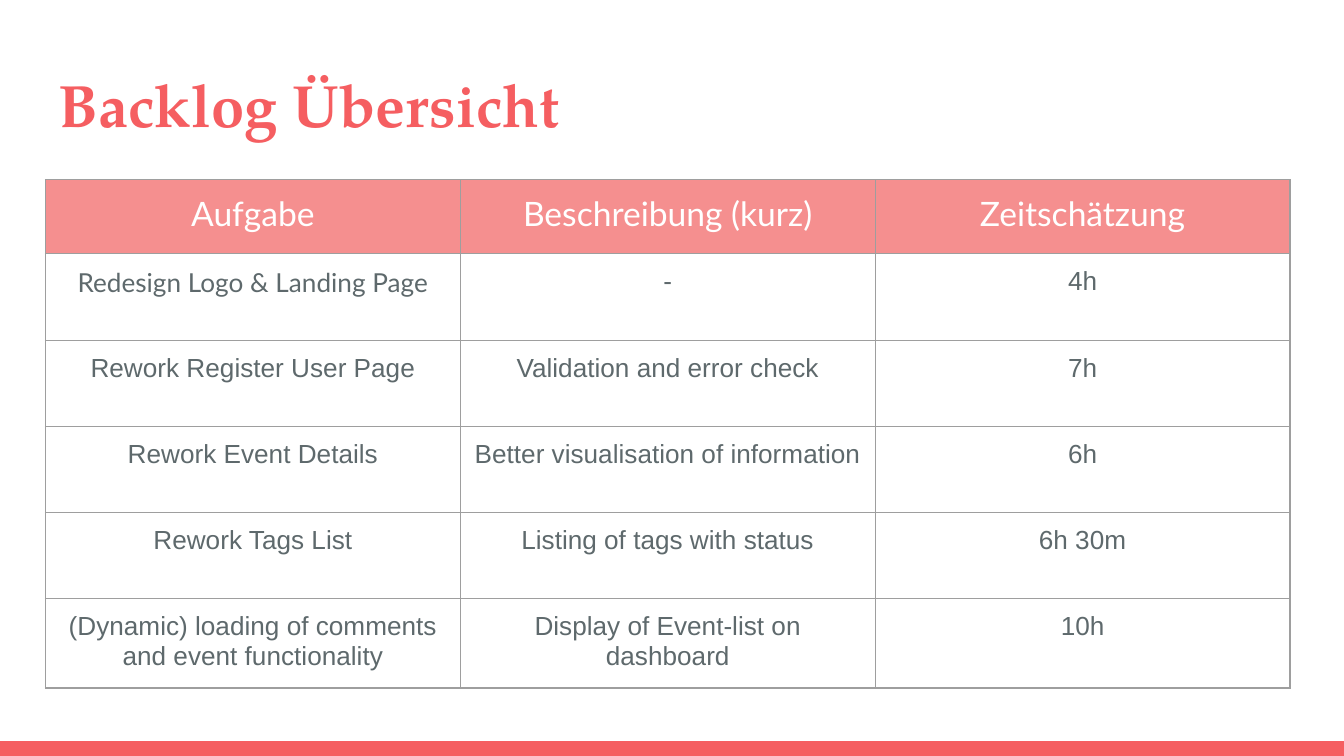
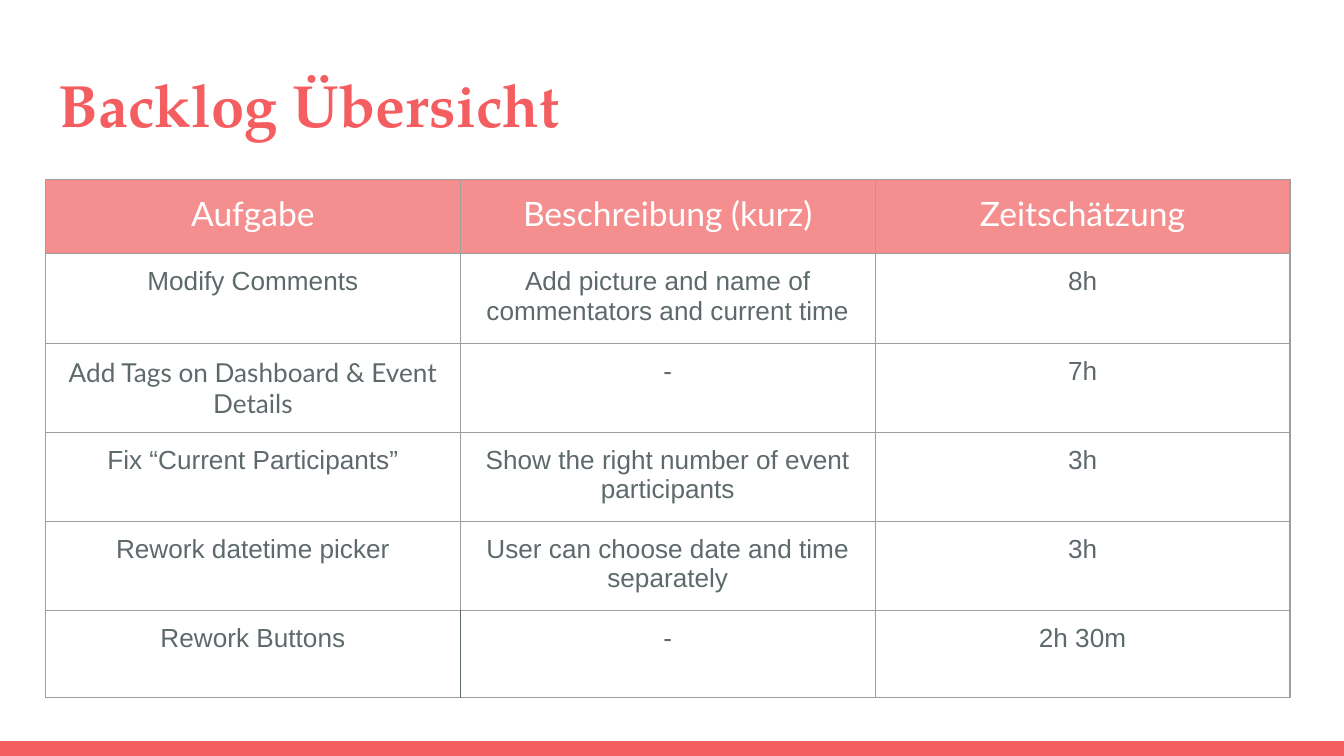
import pptx
import pptx.dml.color
import pptx.enum.shapes
import pptx.enum.text
import pptx.oxml
import pptx.oxml.ns
import pptx.util

Cm = pptx.util.Cm
Pt = pptx.util.Pt
RGBColor = pptx.dml.color.RGBColor

CORAL = RGBColor(0xF5, 0x5E, 0x61)
ROSE = RGBColor(0xF5, 0x8F, 0x8F)
WHITE = RGBColor(0xFF, 0xFF, 0xFF)
SLATE = RGBColor(0x5E, 0x69, 0x6C)
GREY = RGBColor(0x9E, 0x9E, 0x9E)

PAGE_WIDTH, PAGE_HEIGHT = Cm(25.4), Cm(14.29)
LEFT = Cm(0.86)
INSET = Cm(0.25)
BAND_HEIGHT = Cm(0.28)
COLUMN_WIDTH = Cm(7.84)
HEADER_HEIGHT, ROW_HEIGHT = Cm(1.4), Cm(1.63)

TITLE_FONT = {"name": "TeX Gyre Pagella", "size": Pt(32), "bold": True}
HEADER_FONT = {"name": "Lato", "size": Pt(18), "bold": False}
BODY_FONT = {"name": "Arial", "size": Pt(14), "bold": False}
LATO_BODY_FONT = {**BODY_FONT, "name": "Lato"}

HEADER = ("Aufgabe", "Beschreibung (kurz)", "Zeitschätzung")
BACKLOGS = [
    [
        ("Redesign Logo & Landing Page", "-", "4h"),
        ("Rework Register User Page", "Validation and error check", "7h"),
        ("Rework Event Details", "Better visualisation of information", "6h"),
        ("Rework Tags List", "Listing of tags with status", "6h 30m"),
        ("(Dynamic) loading of comments and event functionality",
         "Display of Event-list on dashboard", "10h"),
    ],
    [
        ("Modify Comments",
         "Add picture and name of commentators and current time", "8h"),
        ("Add Tags on Dashboard & Event Details", "-", "7h"),
        ("Fix “Current Participants”",
         "Show the right number of event participants", "3h"),
        ("Rework datetime picker",
         "User can choose date and time separately", "3h"),
        ("Rework Buttons", "-", "2h 30m"),
    ],
]
LATO_TASKS = {"Redesign Logo & Landing Page", "Add Tags on Dashboard & Event Details"}
# Cell sides (slide, row, column, side) drawn darker than the grid
DARK_SIDES = {(1, 5, 0, "R"), (1, 5, 1, "L")}


def write(frame, text, font, color):
    """Fill a text frame with one formatted line and return its paragraph."""
    para = frame.paragraphs[0]
    span = para.add_run()
    span.text = text
    for name, value in font.items():
        setattr(span.font, name, value)
    span.font.color.rgb = color
    return para


def add_border(cell, side, color):
    cell_format = cell._tc.get_or_add_tcPr()
    cell_format.append(pptx.oxml.parse_xml(
        f'<a:ln{side} {pptx.oxml.ns.nsdecls("a")} w="{Pt(0.75)}">'
        f'<a:solidFill><a:srgbClr val="{color}"/></a:solidFill></a:ln{side}>'))


deck = pptx.Presentation()
deck.slide_width, deck.slide_height = PAGE_WIDTH, PAGE_HEIGHT

for page_index, tasks in enumerate(BACKLOGS):
    page = deck.slides.add_slide(deck.slide_layouts[6])

    band = page.shapes.add_shape(
        pptx.enum.shapes.MSO_SHAPE.RECTANGLE,
        0, PAGE_HEIGHT - BAND_HEIGHT, PAGE_WIDTH, BAND_HEIGHT)
    band.shadow.inherit = False
    band.fill.solid()
    band.fill.fore_color.rgb = CORAL
    band.line.fill.background()

    title = page.shapes.add_textbox(LEFT, Cm(1.09), Cm(23.68), Cm(1.73))
    frame_format = {
        "word_wrap": True,
        "vertical_anchor": pptx.enum.text.MSO_ANCHOR.MIDDLE,
        "margin_left": INSET, "margin_right": INSET,
        "margin_top": INSET, "margin_bottom": INSET,
    }
    for name, value in frame_format.items():
        setattr(title.text_frame, name, value)
    write(title.text_frame, "Backlog Übersicht", TITLE_FONT, CORAL)

    rows = [HEADER, *tasks]
    table = page.shapes.add_table(
        len(rows), len(HEADER), LEFT, Cm(3.4), COLUMN_WIDTH * len(HEADER),
        HEADER_HEIGHT + ROW_HEIGHT * len(tasks)).table
    table.horz_banding = False
    for column in table.columns:
        column.width = COLUMN_WIDTH

    for row_index, texts in enumerate(rows):
        is_header = row_index == 0
        table.rows[row_index].height = HEADER_HEIGHT if is_header else ROW_HEIGHT
        for column_index, text in enumerate(texts):
            cell = table.cell(row_index, column_index)
            for edge in ("left", "right", "top", "bottom"):
                setattr(cell, f"margin_{edge}", INSET)
            for side in "LRTB":
                dark = (page_index, row_index, column_index, side) in DARK_SIDES
                add_border(cell, side, SLATE if dark else GREY)
            if is_header:
                cell.fill.solid()
                cell.fill.fore_color.rgb = ROSE
                font, color = HEADER_FONT, WHITE
            else:
                cell.fill.background()
                font = LATO_BODY_FONT if text in LATO_TASKS else BODY_FONT
                color = SLATE
            para = write(cell.text_frame, text, font, color)
            para.alignment = pptx.enum.text.PP_ALIGN.CENTER

deck.save("out.pptx")
